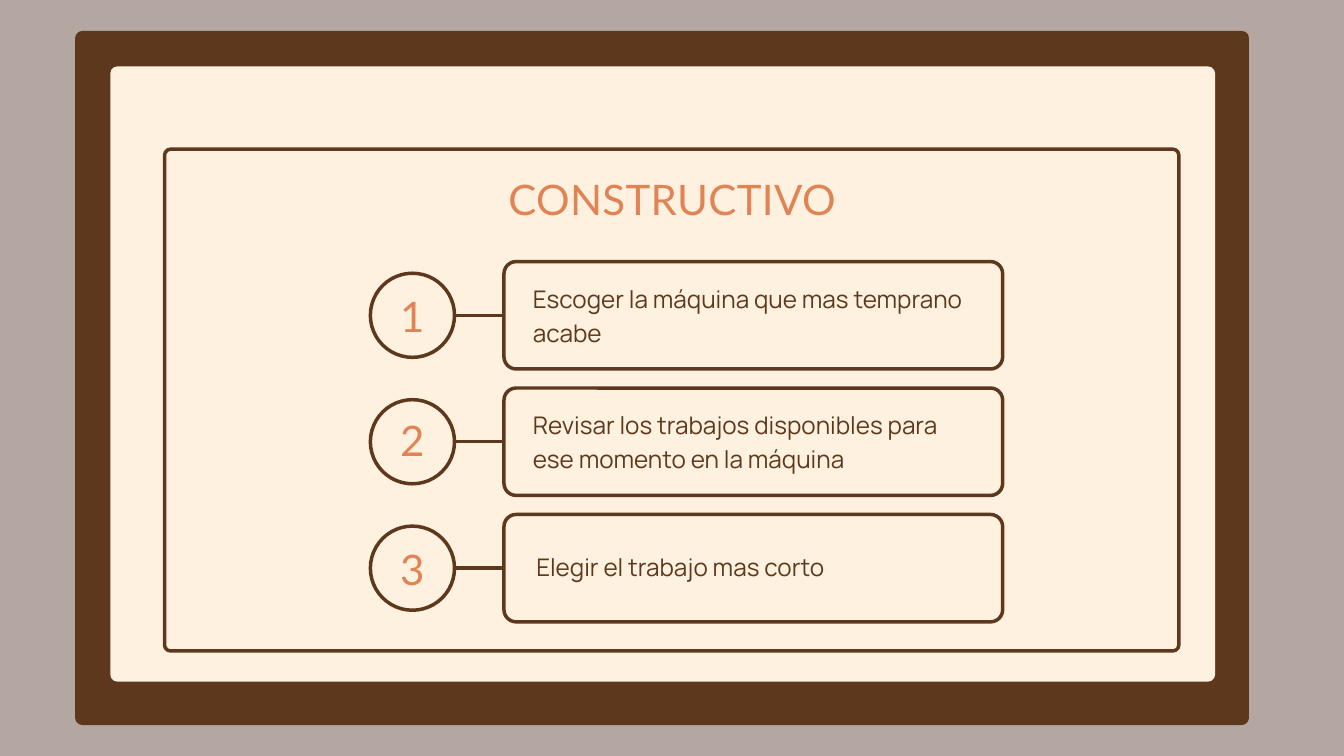
from lxml import etree
from pptx import Presentation
from pptx.dml.color import RGBColor
from pptx.enum import shapes, text
from pptx.oxml.ns import qn
from pptx.util import Cm, Pt

BACKDROP = RGBColor(0xB4, 0xA6, 0xA1)
BROWN = RGBColor(0x5D, 0x38, 0x1C)
CREAM = RGBColor(0xFF, 0xF1, 0xDF)
ORANGE = RGBColor(0xE1, 0x84, 0x55)
LINE_WIDTH = Pt(3.75)

# Steps, in cm
FIRST_CENTER, STEP_PITCH = 11.92, 4.78
CIRCLE_LEFT, CIRCLE_SIZE = 14.0, 3.18
BOX_LEFT, BOX_WIDTH, BOX_HEIGHT = 19.05, 18.85, 4.06

# Wording, text left, text top, text height, number top
STEPS = [
    ("Escoger la máquina que mas temprano acabe", 20.14, 10.57, 2.54, 10.85),
    ("Revisar los trabajos disponibles para ese momento en la máquina",
     20.14, 15.34, 2.54, 15.54),
    ("Elegir el trabajo mas corto", 20.27, 20.7, 1.27, 20.4),
]


def add_outline(s, kind, left, top, width, height, fill=None):
    """Add a filled shape without a line, or a brown outline without a fill."""
    sp = s.shapes.add_shape(kind, Cm(left), Cm(top), Cm(width), Cm(height))
    sp.shadow.inherit = False
    if fill is None:
        sp.fill.background()
        sp.line.color.rgb = BROWN
        sp.line.width = LINE_WIDTH
    else:
        sp.fill.solid()
        sp.fill.fore_color.rgb = fill
        sp.line.fill.background()
    return sp


def add_panel(s, left, top, width, height, radius, fill=None):
    sp = add_outline(s, shapes.MSO_SHAPE.ROUNDED_RECTANGLE,
                     left, top, width, height, fill)
    sp.adjustments[0] = radius / min(width, height)


def add_link(s, x1, x2, y):
    link = s.shapes.add_connector(shapes.MSO_CONNECTOR.STRAIGHT,
                                  Cm(x1), Cm(y), Cm(x2), Cm(y))
    link.line.color.rgb = BROWN
    link.line.width = LINE_WIDTH
    etree.SubElement(link._element.spPr, qn("a:effectLst"))


def add_text(s, words, left, top, width, height, font, size, color, leading):
    tf = s.shapes.add_textbox(Cm(left), Cm(top), Cm(width), Cm(height)).text_frame
    tf.word_wrap = True
    tf.margin_left = tf.margin_right = tf.margin_top = tf.margin_bottom = 0
    p = tf.paragraphs[0]
    r = p.add_run()
    r.text = words
    p.line_spacing = Pt(leading)
    p.font.name = font
    p.font.size = Pt(size)
    p.font.color.rgb = color
    return p


def add_heading(s, words, left, top, width):
    p = add_text(s, words, left, top, width, 2.03, "Lato", 45, ORANGE, 58)
    p.alignment = text.PP_ALIGN.CENTER
    p.runs[0]._r.get_or_add_rPr().set("spc", "40")


def add_step(s, number, words, text_left, text_top, text_height, number_top):
    center = FIRST_CENTER + (number - 1) * STEP_PITCH
    add_outline(s, shapes.MSO_SHAPE.OVAL, CIRCLE_LEFT, center - CIRCLE_SIZE / 2,
                CIRCLE_SIZE, CIRCLE_SIZE)
    add_panel(s, BOX_LEFT, center - BOX_HEIGHT / 2, BOX_WIDTH, BOX_HEIGHT, 0.46)
    add_link(s, CIRCLE_LEFT + CIRCLE_SIZE, BOX_LEFT, center)
    add_text(s, words, text_left, text_top, 16.89, text_height,
             "Manrope", 26, BROWN, 36.4)
    add_heading(s, str(number), 12.88, number_top, 5.41)


def main():
    prs = Presentation()
    prs.slide_width, prs.slide_height = Cm(50.8), Cm(28.58)
    s = prs.slides.add_slide(prs.slide_layouts[6])
    s.background.fill.solid()
    s.background.fill.fore_color.rgb = BACKDROP

    # Board and frame
    add_panel(s, 2.84, 1.17, 44.37, 26.24, 0.27, BROWN)
    add_panel(s, 4.17, 2.51, 41.76, 23.26, 0.27, CREAM)
    add_panel(s, 6.22, 5.64, 38.34, 18.97, 0.23)

    # Title and numbered steps
    add_heading(s, "CONSTRUCTIVO", 13.44, 6.43, 23.93)
    for number, step in enumerate(STEPS, 1):
        add_step(s, number, *step)

    prs.save("out.pptx")


if __name__ == "__main__":
    main()
